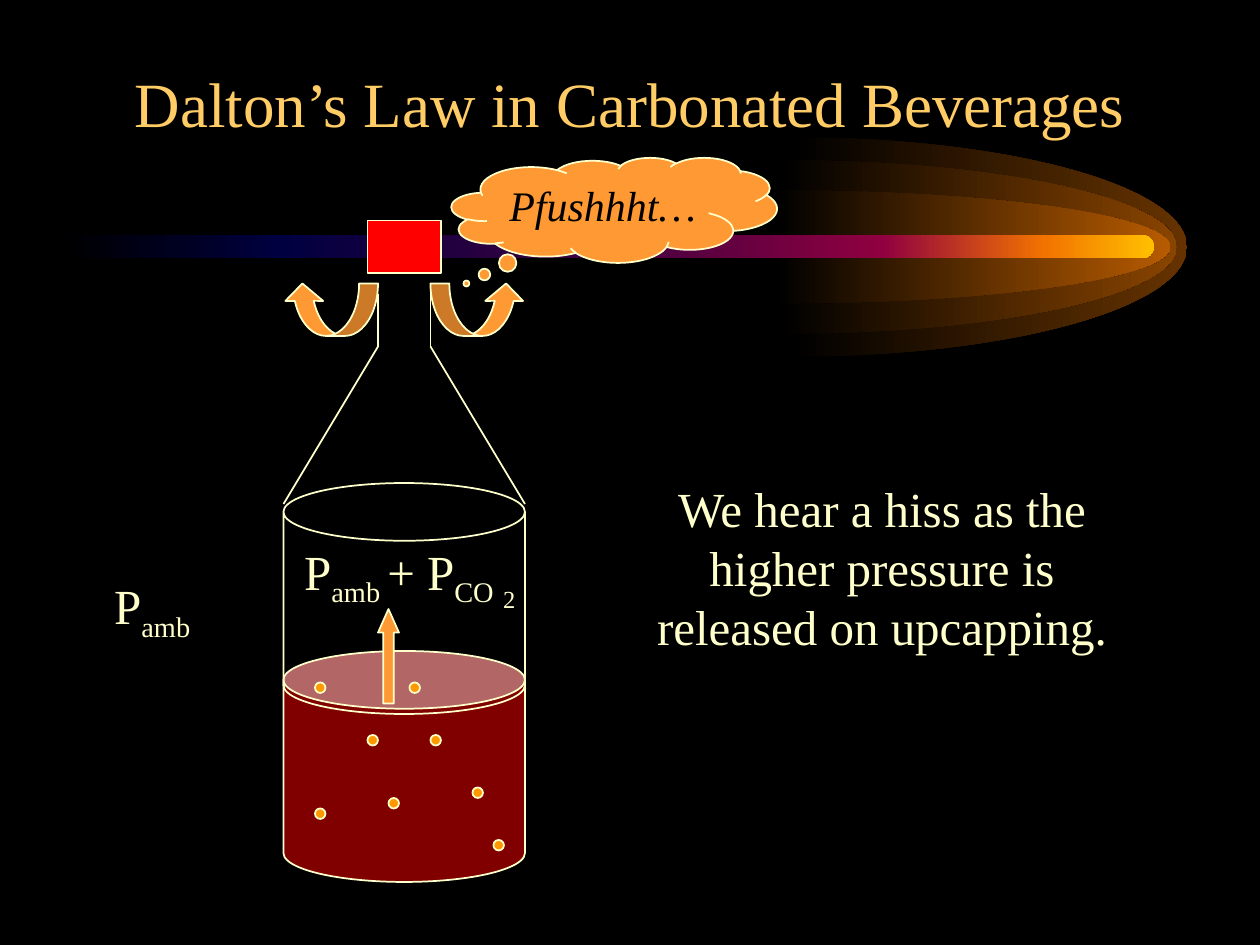
from typing import NamedTuple

from lxml.etree import SubElement
from pptx import Presentation
from pptx.dml.color import RGBColor
from pptx.enum.shapes import MSO_CONNECTOR, MSO_SHAPE as Preset
from pptx.enum.text import MSO_ANCHOR, MSO_AUTO_SIZE, PP_ALIGN
from pptx.oxml.ns import qn
from pptx.util import Inches, Pt

BLACK = RGBColor(0x00, 0x00, 0x00)
CREAM = RGBColor(0xFF, 0xFF, 0xCC)
GOLD = RGBColor(0xFF, 0xCC, 0x66)
ORANGE = RGBColor(0xFF, 0x99, 0x33)
BUBBLE = RGBColor(0xFF, 0x99, 0x00)
RED = RGBColor(0xFF, 0x00, 0x00)
WINE = RGBColor(0x80, 0x00, 0x00)
COMET_STOPS = [
    (0, BLACK),
    (20, RGBColor(0x00, 0x00, 0x40)),
    (50, RGBColor(0x40, 0x00, 0x40)),
    (75, RGBColor(0x8F, 0x00, 0x40)),
    (90, RGBColor(0xF2, 0x73, 0x00)),
    (100, RGBColor(0xFF, 0xBF, 0x00)),
]
FONT = "Times New Roman"
COMET_Y = 1.96
ARC_PULL = 0.55  # Bezier handle length of a quarter ellipse
CELLS_PER_INCH = 12


def cells(count: float) -> int:
    """Length of so many cells of the slide's drawing grid."""
    return Inches(count / CELLS_PER_INCH)


class Glow(NamedTuple):
    """Half ellipse, in inches."""
    left: float
    half_height: float
    color: RGBColor


class Box(NamedTuple):
    """Place and size, in grid cells."""
    left: float
    top: float
    width: float
    height: float

    def emu(self) -> list[int]:
        return [cells(value) for value in self]


class Piece(NamedTuple):
    text: str
    subscript: bool = False


GLOWS = [
    Glow(6.29, 0.87, RGBColor(0x66, 0x33, 0x00)),
    Glow(6.21, 0.69, RGBColor(0x89, 0x44, 0x00)),
    Glow(6.16, 0.45, RGBColor(0xB7, 0x5B, 0x00)),
]
BUBBLES = [(35, 70), (37, 76), (39, 65), (41, 70), (45, 75), (47, 80), (30, 65), (30, 77)]
SHOULDERS_AND_NECK = [
    ((27, 48), (36, 33)),
    ((50, 48), (41, 33)),
    ((36, 28), (36, 33)),
    ((41, 28), (41, 33)),
]


def fill_gradient(shape, stops: list) -> None:
    """Fill from left to right without an outline."""
    shape.shadow.inherit = False
    shape.line.fill.background()
    shape.fill.gradient()
    shape.fill.gradient_angle = 0
    stop_list = shape._element.spPr.find(qn("a:gradFill")).find(qn("a:gsLst"))
    for default_stop in list(stop_list):
        stop_list.remove(default_stop)
    for percent, color in stops:
        stop = SubElement(stop_list, qn("a:gs"), pos=str(percent * 1000))
        SubElement(stop, qn("a:srgbClr"), val=str(color))


def draw_glow(slide, glow: Glow) -> None:
    """Draw a half ellipse whose two quarters are Bezier curves."""
    reach, half = Inches(3.13), Inches(glow.half_height)
    left, axis = Inches(glow.left), Inches(COMET_Y)
    builder = slide.shapes.build_freeform(left, axis - half)
    builder.add_line_segments([(left + reach, axis), (left, axis + half)], close=True)
    fan = builder.convert_to_shape()
    pull_x, pull_y = reach * ARC_PULL, half * ARC_PULL
    quarters = [
        [(pull_x, 0), (reach, half - pull_y), (reach, half)],
        [(reach, half + pull_y), (pull_x, 2 * half), (0, 2 * half)],
    ]
    for side, points in zip(list(fan._element.iter(qn("a:lnTo"))), quarters):
        curve = side.makeelement(qn("a:cubicBezTo"))
        for x, y in points:
            SubElement(curve, qn("a:pt"), x=str(int(x)), y=str(int(y)))
        side.getparent().replace(side, curve)
    fill_gradient(fan, [(0, BLACK), (100, glow.color)])


def add_outlined(slide, preset, box: Box, color: RGBColor | None = None,
                 adjustments: tuple = ()):
    shape = slide.shapes.add_shape(preset, *box.emu())
    shape.shadow.inherit = False
    if color is None:
        shape.fill.background()
    else:
        shape.fill.solid()
        shape.fill.fore_color.rgb = color
    shape.line.color.rgb = CREAM
    shape.line.width = Pt(1)
    for index, value in enumerate(adjustments):
        shape.adjustments[index] = value
    return shape


def add_edge(slide, start: tuple, end: tuple) -> None:
    edge = slide.shapes.add_connector(
        MSO_CONNECTOR.STRAIGHT, *[cells(value) for value in (*start, *end)])
    edge.line.color.rgb = CREAM
    edge.line.width = Pt(1)
    SubElement(edge._element.spPr, qn("a:effectLst"))


def write(frame, pieces: list[Piece], size: float, color: RGBColor,
          italic: bool = False) -> None:
    frame.word_wrap = True
    paragraph = frame.paragraphs[0]
    paragraph.alignment = PP_ALIGN.CENTER
    for piece in pieces:
        run = paragraph.add_run()
        run.text = piece.text
        run.font.name = FONT
        run.font.size = Pt(size)
        run.font.color.rgb = color
        if italic:
            run.font.italic = True
        if piece.subscript:
            run.font._element.set("baseline", "-25000")


def add_label(slide, box: Box, pieces: list[Piece], size: float = 28) -> None:
    label = slide.shapes.add_textbox(*box.emu())
    write(label.text_frame, pieces, size, CREAM)
    label.text_frame.auto_size = MSO_AUTO_SIZE.SHAPE_TO_FIT_TEXT


def draw_comet(slide) -> None:
    for glow in GLOWS:
        draw_glow(slide, glow)
    tail = slide.shapes.add_shape(Preset.ROUNDED_RECTANGLE,
                                  *Box(6, 22.4, 103.9, 2.2).emu())
    tail.adjustments[0] = 0.5
    fill_gradient(tail, COMET_STOPS)


def draw_bottle(slide) -> None:
    for top, color in ((62, WINE), (46, None)):
        add_outlined(slide, Preset.CAN, Box(27, top, 23, 22), color, (0.25,))
    for start, end in SHOULDERS_AND_NECK:
        add_edge(slide, start, end)
    add_outlined(slide, Preset.RECTANGLE, Box(35, 21, 7, 5), RED)
    for left, top in BUBBLES:
        add_outlined(slide, Preset.OVAL, Box(left, top, 1, 1), BUBBLE)


def draw_pressures(slide) -> None:
    add_label(slide, Box(61, 45, 46, 18),
              [Piece("We hear a hiss as the higher pressure is released on upcapping.")])
    add_outlined(slide, Preset.UP_ARROW, Box(36, 58, 2, 9), ORANGE, (0.5, 1.125))
    add_label(slide, Box(8, 54.25, 13, 6.85), [Piece("P"), Piece("amb", True)])
    add_label(slide, Box(26, 51, 24, 6.85),
              [Piece("P"), Piece("amb ", True), Piece("+ P"), Piece("CO", True)])
    add_label(slide, Box(46, 55, 5, 4), [Piece("2")], 14)


def draw_escaping_gas(slide) -> None:
    for left, mirrored in ((41, False), (27, True)):
        swirl = add_outlined(slide, Preset.CURVED_UP_ARROW, Box(left, 27, 9, 5),
                             ORANGE, (0.36, 0.72, 0.333))
        if mirrored:
            swirl._element.spPr.xfrm.set("flipH", "1")
    hiss = add_outlined(slide, Preset.CLOUD_CALLOUT, Box(43, 15, 31, 10),
                        ORANGE, (-0.454, 0.7))
    hiss.text_frame.vertical_anchor = MSO_ANCHOR.TOP
    write(hiss.text_frame, [Piece("Pfushhht…")], 24, BLACK, italic=True)


def main() -> None:
    deck = Presentation()
    deck.slide_width, deck.slide_height = Inches(10), Inches(7.5)
    slide = deck.slides.add_slide(deck.slide_layouts[5])
    slide.background.fill.solid()
    slide.background.fill.fore_color.rgb = BLACK

    draw_comet(slide)
    title = slide.shapes.title
    title.left, title.top, title.width, title.height = Box(9, 4.95, 102, 9).emu()
    title.text_frame.vertical_anchor = MSO_ANCHOR.BOTTOM
    write(title.text_frame, [Piece("Dalton’s Law in Carbonated Beverages")], 36, GOLD)
    draw_bottle(slide)
    draw_pressures(slide)
    draw_escaping_gas(slide)
    deck.save("out.pptx")


if __name__ == "__main__":
    main()
